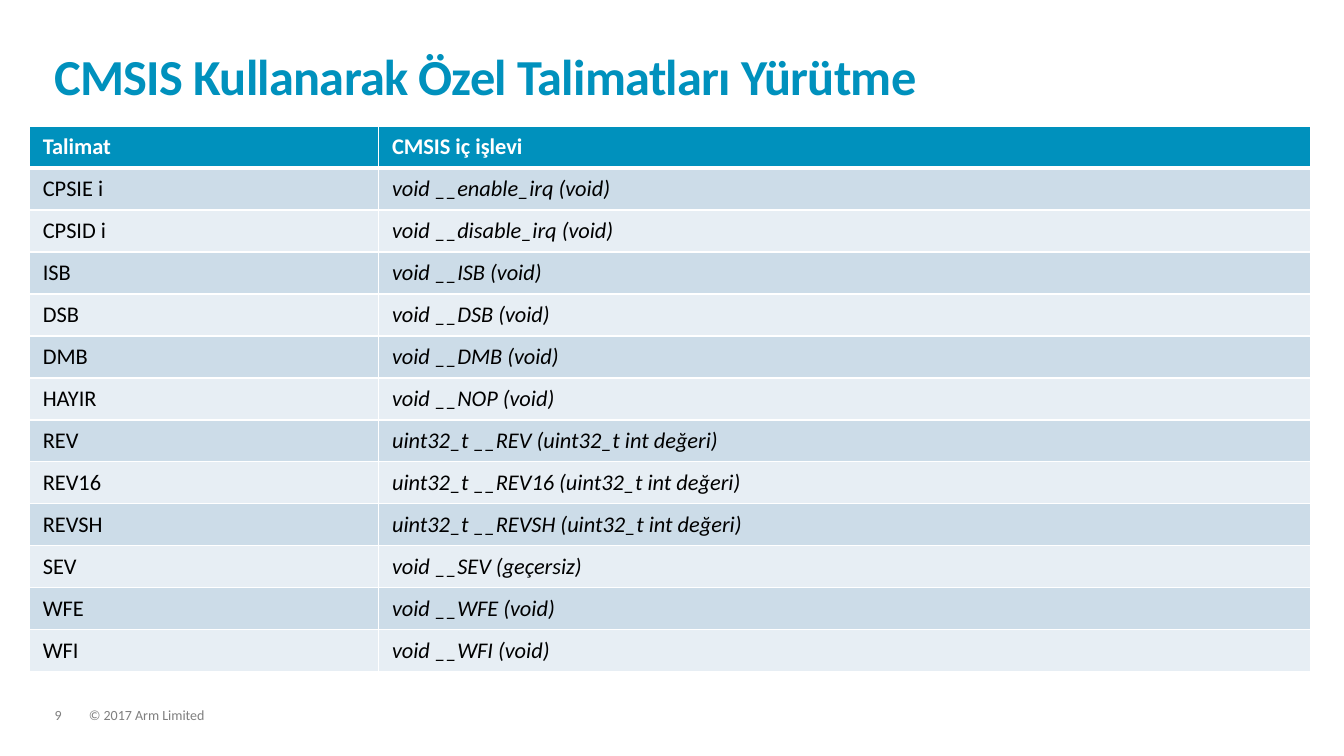
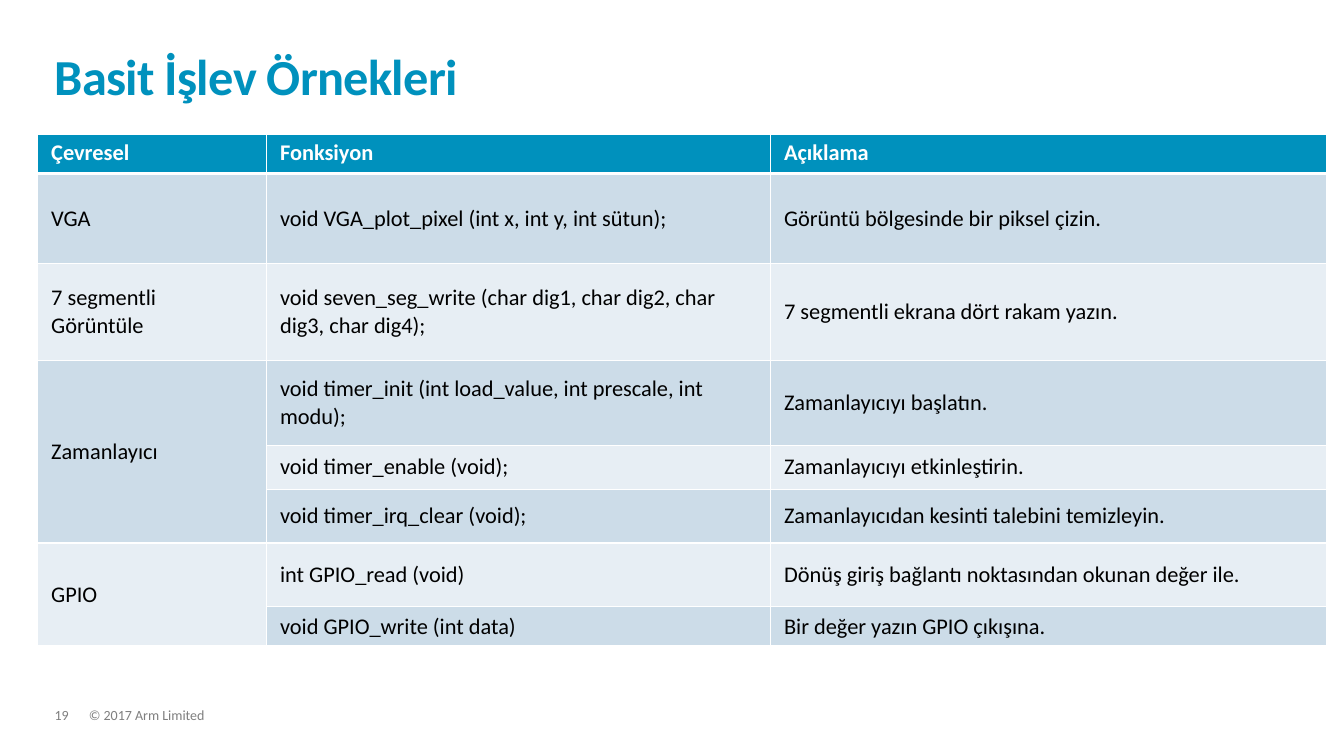
from lxml.etree import SubElement
from pptx import Presentation
from pptx.dml.color import RGBColor
from pptx.enum.text import MSO_ANCHOR as Anchor, MSO_AUTO_SIZE as AutoSize, PP_ALIGN as Align
from pptx.oxml.ns import qn
from pptx.util import Pt

BLUE = RGBColor(0x00, 0x91, 0xBD)
WHITE = RGBColor(0xFF, 0xFF, 0xFF)
BLACK = RGBColor(0x00, 0x00, 0x00)
GRAY = RGBColor(0x7F, 0x7F, 0x7F)
BAND_DARK = RGBColor(0xCC, 0xDC, 0xE8)
BAND_LIGHT = RGBColor(0xE7, 0xEE, 0xF4)

TITLE_ONLY = 5
LEFT = 39


def write(frame, text, *, size=16, color=BLACK, bold=False, italic=False,
          line_spacing=1.0, anchor=Anchor.TOP, tracking=None):
    """Fill a text frame with one formatted paragraph."""
    frame.word_wrap = True
    frame.vertical_anchor = anchor
    para = frame.paragraphs[0]
    para.alignment = Align.LEFT
    para.line_spacing = line_spacing
    span = para.add_run()
    span.text = text
    font = span.font
    font.name, font.size = "Calibri", Pt(size)
    font.bold, font.italic = bold, italic
    font.color.rgb = color
    if tracking is not None:
        span._r.get_or_add_rPr().set("spc", str(round(tracking * 100)))


def set_margins(target, across=0, down=0):
    target.margin_left = target.margin_right = Pt(across)
    target.margin_top = target.margin_bottom = Pt(down)


def set_borders(cell, top=1, bottom=1):
    """Draw white borders; widths are in points."""
    properties = cell._tc.get_or_add_tcPr()
    for side, width in (("L", 1), ("R", 1), ("T", top), ("B", bottom)):
        line = SubElement(properties, qn(f"a:ln{side}"), w=str(int(Pt(width))))
        fill = SubElement(line, qn("a:solidFill"))
        SubElement(fill, qn("a:srgbClr"), val=str(WHITE))


class SlideBuilder:
    def __init__(self):
        self.deck = Presentation()
        self.deck.slide_width, self.deck.slide_height = Pt(960), Pt(540)
        self.page = None

    def start(self, title, number):
        """Add a page with its title and footer."""
        self.page = self.deck.slides.add_slide(self.deck.slide_layouts[TITLE_ONLY])
        box = self.page.shapes.title
        box.left, box.top, box.width, box.height = map(Pt, (LEFT, 23, 880, 52.6))
        set_margins(box.text_frame)
        box.text_frame.auto_size = AutoSize.NONE
        write(box.text_frame, title, size=36, color=BLUE, bold=True,
              line_spacing=0.85, anchor=Anchor.BOTTOM, tracking=-0.5)
        self.footer("© 2017 Arm Limited", 63.5, 657)
        self.footer(str(number), LEFT, 24.5)

    def footer(self, text, left, width):
        box = self.page.shapes.add_textbox(Pt(left), Pt(506), Pt(width), Pt(11))
        set_margins(box.text_frame)
        write(box.text_frame, text, size=10, color=GRAY, line_spacing=0.9)

    def table(self, rows, left, top, widths, heights, *,
              header_anchor=Anchor.MIDDLE, italic_columns=()):
        """Add a banded table; None continues the cell above it."""
        frame = self.page.shapes.add_table(
            len(rows), len(widths), Pt(left), Pt(top), Pt(sum(widths)), Pt(sum(heights)))
        grid = frame.table
        grid.horz_banding = False
        for column, width in zip(grid.columns, widths):
            column.width = Pt(width)
        for r, (texts, height) in enumerate(zip(rows, heights)):
            grid.rows[r].height = Pt(height)
            for c, text in enumerate(texts):
                self.cell(grid.cell(r, c), text, r, header_anchor, c in italic_columns)
        self.merge_down(grid, rows)

    def cell(self, cell, text, row, header_anchor, italic):
        is_header = row == 0
        set_borders(cell, top=3 if row == 1 else 1, bottom=3 if is_header else 1)
        cell.fill.solid()
        cell.fill.fore_color.rgb = BLUE if is_header else BAND_DARK if row % 2 else BAND_LIGHT
        set_margins(cell, 9.6, 3.6)
        cell.vertical_anchor = header_anchor if is_header else Anchor.MIDDLE
        if text is not None:
            write(cell.text_frame, text, bold=is_header,
                  color=WHITE if is_header else BLACK,
                  italic=italic and not is_header, anchor=None)

    @staticmethod
    def merge_down(grid, rows):
        for c, column in enumerate(zip(*rows)):
            starts = [r for r, text in enumerate(column) if text is not None]
            for first, after in zip(starts, starts[1:] + [len(rows)]):
                if after - first > 1:
                    grid.cell(first, c).merge(grid.cell(after - 1, c))


INSTRUCTIONS = [
    ("Talimat", "CMSIS iç işlevi"),
    ("CPSIE i", "void __enable_irq (void)"),
    ("CPSID i", "void __disable_irq (void)"),
    ("ISB", "void __ISB (void)"),
    ("DSB", "void __DSB (void)"),
    ("DMB", "void __DMB (void)"),
    ("HAYIR", "void __NOP (void)"),
    ("REV", "uint32_t __REV (uint32_t int değeri)"),
    ("REV16", "uint32_t __REV16 (uint32_t int değeri)"),
    ("REVSH", "uint32_t __REVSH (uint32_t int değeri)"),
    ("SEV", "void __SEV (geçersiz)"),
    ("WFE", "void __WFE (void)"),
    ("WFI", "void __WFI (void)"),
]

FUNCTIONS = [
    ("Çevresel", "Fonksiyon", "Açıklama"),
    ("VGA", "void VGA_plot_pixel (int x, int y, int sütun);",
     "Görüntü bölgesinde bir piksel çizin."),
    ("7 segmentli Görüntüle",
     "void seven_seg_write (char dig1, char dig2, char dig3, char dig4);",
     "7 segmentli ekrana dört rakam yazın."),
    ("Zamanlayıcı", "void timer_init (int load_value, int prescale, int modu);",
     "Zamanlayıcıyı başlatın."),
    (None, "void timer_enable (void);", "Zamanlayıcıyı etkinleştirin."),
    (None, "void timer_irq_clear (void);", "Zamanlayıcıdan kesinti talebini temizleyin."),
    ("GPIO", "int GPIO_read (void)", "Dönüş giriş bağlantı noktasından okunan değer ile."),
    (None, "void GPIO_write (int data)", "Bir değer yazın GPIO çıkışına."),
]


def main():
    builder = SlideBuilder()

    # Special instructions
    builder.start("CMSIS Kullanarak Özel Talimatları Yürütme", 9)
    builder.table(INSTRUCTIONS, 21, 90, (249.5, 666), [30] * len(INSTRUCTIONS),
                  italic_columns=(1,))

    # Function examples
    builder.start("Basit İşlev Örnekleri", 19)
    builder.table(FUNCTIONS, 27, 96, (163.5, 360, 397),
                  (28, 64, 69.5, 60.5, 31.5, 38.5, 45.5, 28),
                  header_anchor=Anchor.TOP)

    builder.deck.save("out.pptx")


if __name__ == "__main__":
    main()
